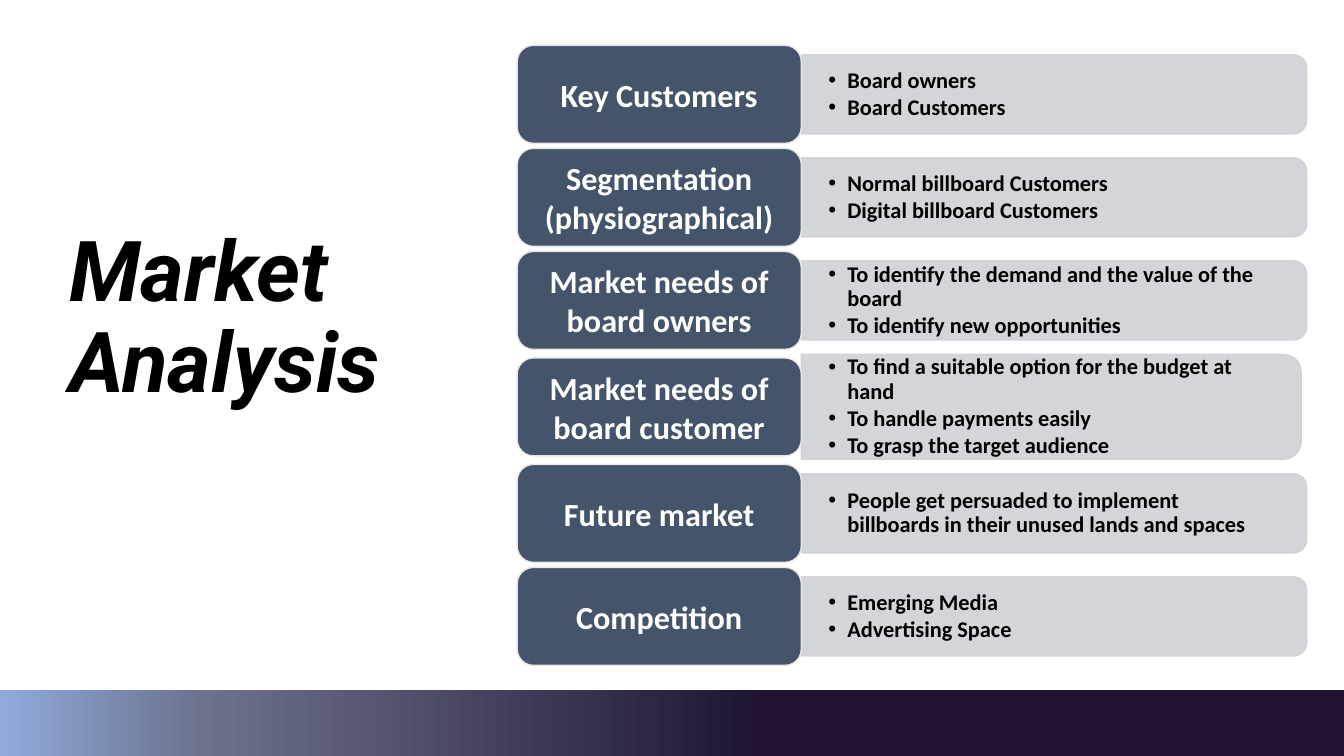
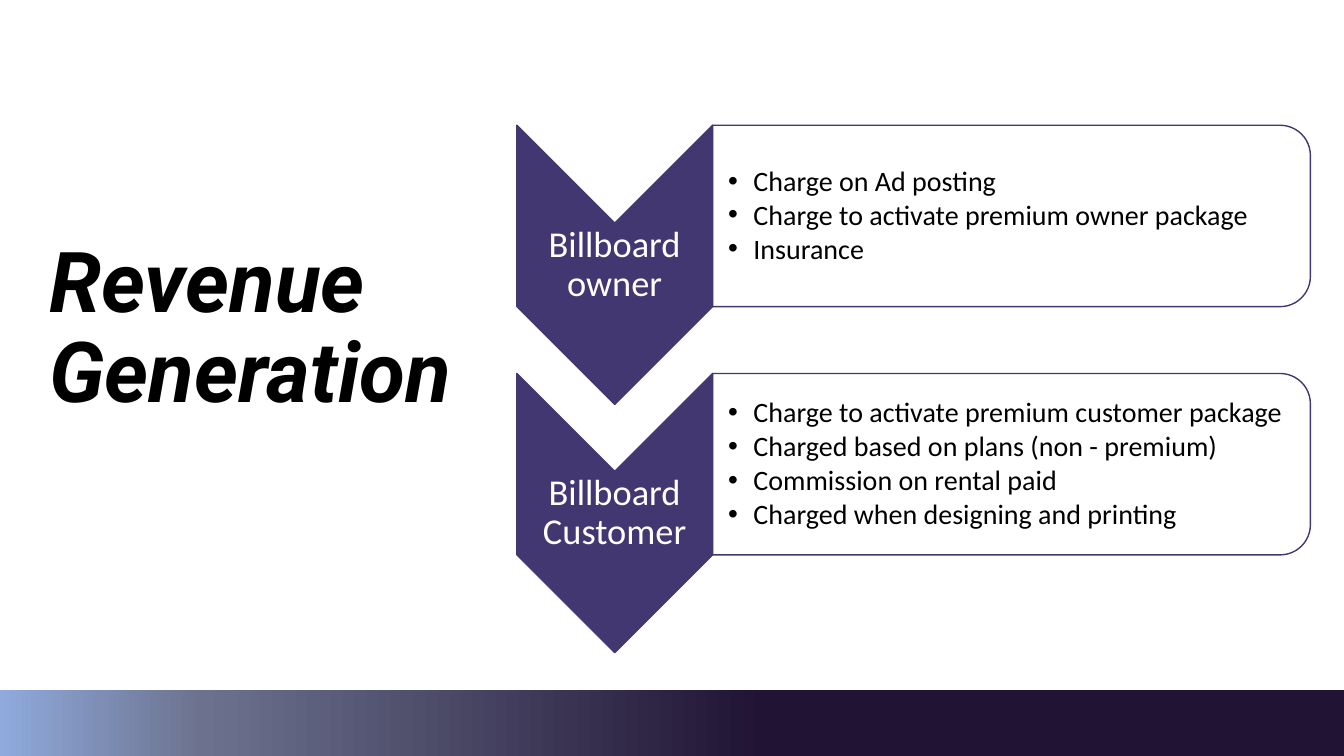
"""Build two slides on the market and the revenue of a billboard service."""
from dataclasses import dataclass

from lxml.etree import SubElement as Sub
from pptx import Presentation
from pptx.dml.color import RGBColor as Rgb
from pptx.enum.shapes import MSO_SHAPE as Kind
from pptx.enum.text import MSO_ANCHOR as Anchor, PP_ALIGN as Align
from pptx.oxml.ns import qn
from pptx.util import Pt

HUES = {
    "ink": "000000", "white": "FFFFFF", "slate": "44546A", "rim": "E7E6E6",
    "grey": "CFD1D4", "plum": "433771",
    "sky": "8FAADC", "dusk": "6C728E", "night": "201333",
}
STOPS = ((0, "sky"), (15, "dusk"), (57, "night"), (100, "night"))
WIDE, HIGH, BAND = 960, 540, 46.8


@dataclass(frozen=True)
class Box:
    x: float
    y: float
    w: float
    h: float

    def turn(self) -> "Box":
        return Box(self.x + (self.w - self.h) / 2,
                   self.y + (self.h - self.w) / 2, self.h, self.w)

    def spots(self) -> list:
        return [Pt(n) for n in (self.x, self.y, self.w, self.h)]


@dataclass(frozen=True)
class Style:
    size: float
    hue: str = "ink"
    face: str = "Calibri"
    bold: bool = False
    slant: bool = False
    lead: float = 0.9
    mid: bool = False
    dent: float = 0
    pads: tuple = (7.2, 3.6, 7.2, 3.6)


@dataclass(frozen=True)
class Row:
    label: str
    items: tuple
    w: float = 361
    h: float = 56.4


HEAD = Style(60, face="Roboto", bold=True, slant=True)
NAME = Style(23, "white", bold=True, lead=1, mid=True)
NOTE = Style(16, bold=True, dent=13.5, pads=(19.4, 9.7, 19.4, 9.7))
ARROW = Style(26, "white", mid=True, pads=(1.2, 1.2, 1.2, 1.2))
POINT = Style(20, dent=18, pads=(11.2, 0.9, 0.9, 0.9))

MARKET = (
    Row("Key Customers", ("Board owners", "Board Customers")),
    Row("Segmentation (physiographical)",
        ("Normal billboard Customers", "Digital billboard Customers")),
    Row("Market needs of board owners",
        ("To identify the demand and the value of the board",
         "To identify new opportunities")),
    Row("Market needs of board customer",
        ("To find a suitable option for the budget at hand",
         "To handle payments easily", "To grasp the target audience"),
        357, 74.9),
    Row("Future market",
        ("People get persuaded to implement billboards in their unused lands and spaces",)),
    Row("Competition", ("Emerging Media", "Advertising Space")),
)
INCOME = (
    Row("Billboard owner",
        ("Charge on Ad posting", "Charge to activate premium owner package",
         "Insurance"), 427, 129.6),
    Row("Billboard Customer",
        ("Charge to activate premium customer package",
         "Charged based on plans (non - premium)",
         "Commission on rental paid", "Charged when designing and printing"),
        427, 129.6),
)


def tint(name: str) -> Rgb:
    return Rgb.from_string(HUES[name])


def write(shape, lines: tuple, style: Style) -> None:
    frame = shape.text_frame
    frame.word_wrap = True
    frame.vertical_anchor = Anchor.MIDDLE
    (frame.margin_left, frame.margin_top,
     frame.margin_right, frame.margin_bottom) = map(Pt, style.pads)
    for i, line in enumerate(lines):
        para = frame.add_paragraph() if i else frame.paragraphs[0]
        para.text = line
        para.alignment = Align.CENTER if style.mid else Align.LEFT
        para.line_spacing = style.lead
        if style.dent:
            para.space_after = Pt(round(style.size * 0.13, 1))
            props = para._p.get_or_add_pPr()
            props.set("marL", str(Pt(style.dent)))
            props.set("indent", str(-Pt(style.dent)))
            Sub(props, qn("a:buFont"), typeface="Arial")
            Sub(props, qn("a:buChar"), char="•")
        font = para.font
        font.name, font.size = style.face, Pt(style.size)
        font.bold, font.italic = style.bold, style.slant
        font.color.rgb = tint(style.hue)


def text(slide, box: Box, lines: tuple, style: Style) -> None:
    write(slide.shapes.add_textbox(*box.spots()), lines, style)


def draw(slide, kind: Kind, box: Box, fill: str, edge: str, turned: bool = False):
    shape = slide.shapes.add_shape(kind, *(box.turn() if turned else box).spots())
    shape.rotation = 90 if turned else 0
    shape.shadow.inherit = False
    shape.fill.solid()
    shape.fill.fore_color.rgb = tint(fill)
    shape.line.color.rgb = tint(edge)
    shape.line.width = Pt(1)
    return shape


def panel(slide, box: Box, row: Row, fill: str, edge: str, style: Style, trim: float) -> None:
    shape = draw(slide, Kind.ROUND_2_SAME_RECTANGLE, box, fill, edge, True)
    for clr in shape._element.spPr.iter(qn("a:srgbClr")):
        if clr.get("val") == HUES[fill]:
            Sub(clr, qn("a:alpha"), val="90000")
    inner = Box(box.x, box.y + trim / 2, box.w - trim / 2, box.h - trim)
    text(slide, inner, row.items, style)


def start(deck, title: str, box: Box):
    slide = deck.slides.add_slide(deck.slide_layouts[6])
    band = slide.shapes.add_shape(
        Kind.RECTANGLE, *Box(0, HIGH - BAND, WIDE, BAND).spots())
    band.shadow.inherit = False
    band.line.fill.background()
    band.fill.gradient()
    band.fill.gradient_angle = 0
    stops = band._element.spPr.find(".//" + qn("a:gsLst"))
    for old in list(stops):
        stops.remove(old)
    for place, hue in STOPS:
        stop = Sub(stops, qn("a:gs"), pos=str(place * 1000))
        Sub(stop, qn("a:srgbClr"), val=HUES[hue])
    text(slide, box, (title,), HEAD)
    return slide


def market(deck) -> None:
    slide = start(deck, "Market Analysis", Box(42.5, 140.4, 240.5, 175.7))
    x, y, w, h, gap = 369.4, 32.4, 203, 70, 3.6
    for row in MARKET:
        tall = max(h, row.h)
        side = Box(x + w, y + (tall - row.h) / 2, row.w, row.h)
        panel(slide, side, row, "grey", "grey", NOTE, 6)
        tag = draw(slide, Kind.ROUNDED_RECTANGLE,
                   Box(x, y + (tall - h) / 2, w, h), "slate", "rim")
        write(tag, (row.label,), NAME)
        y += tall + gap


def income(deck) -> None:
    slide = start(deck, "Revenue Generation", Box(28.1, 57.6, 304.6, 356.4))
    x, top, w, h, step = 369.2, 89.5, 139.8, 199.4, 177.3
    for i, row in enumerate(INCOME):
        y = top + i * step
        box = Box(x, y, w, h)
        draw(slide, Kind.CHEVRON, box, "plum", "plum", True)
        text(slide, Box(x, y + w / 2, w, h - w), (row.label,), ARROW)
        panel(slide, Box(x + w, y, row.w, row.h), row, "white", "plum", POINT, 12)


def main() -> None:
    deck = Presentation()
    deck.slide_width, deck.slide_height = Pt(WIDE), Pt(HIGH)
    market(deck)
    income(deck)
    deck.save("out.pptx")


if __name__ == "__main__":
    main()
